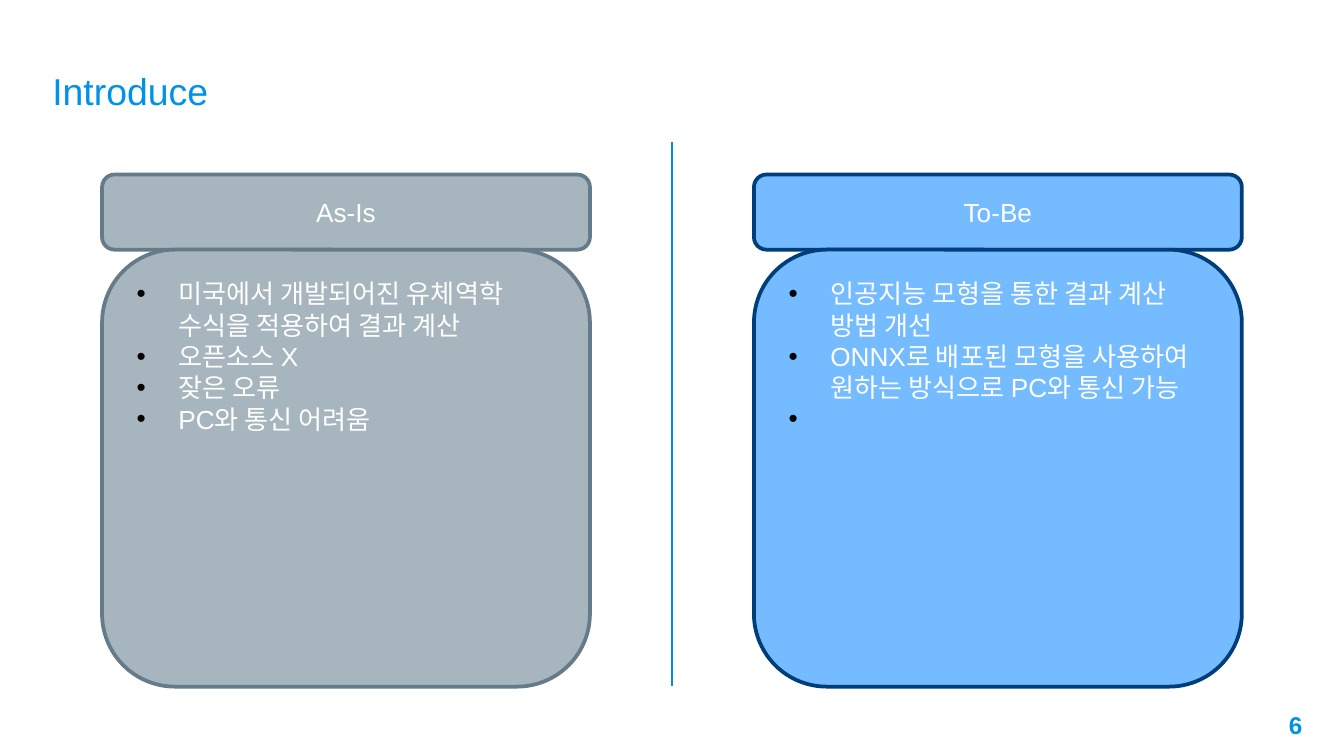
from dataclasses import dataclass

from lxml import etree
from pptx import Presentation
from pptx import util as u
from pptx.dml.color import RGBColor
from pptx.enum import shapes, text
from pptx.oxml.ns import qn


@dataclass(frozen=True)
class Theme:
    font: str = "Arial"
    accent: str = "0091EA"
    divider: str = "008EE5"
    white: str = "FFFFFF"
    bullet: str = "000000"
    before: tuple = ("A7B5BE", "657B89")  # fill, outline
    after: tuple = ("74BBFF", "003E7A")
    title_size: int = 20
    body_size: int = 14
    number_size: int = 13


class SlideBuilder:
    def __init__(self, slide, theme):
        self.s, self.theme = slide, theme

    def fill_text(self, tf, lines, size, color, align, anchor, bold=False):
        tf.word_wrap = True
        tf.vertical_anchor = anchor
        for i, line in enumerate(lines):
            p = tf.paragraphs[0] if i == 0 else tf.add_paragraph()
            p.text = line
            p.alignment = align
            p.font.name = self.theme.font
            p.font.size = u.Pt(size)
            p.font.bold = bold
            p.font.color.rgb = RGBColor.from_string(color)

    def label(self, box, line, size, align, anchor, bold=False):
        tf = self.s.shapes.add_textbox(*map(u.Cm, box)).text_frame
        tf.margin_left = tf.margin_right = u.Cm(0.25)
        tf.margin_top = tf.margin_bottom = u.Cm(0.25)
        self.fill_text(tf, [line], size, self.theme.accent, align, anchor, bold)

    def divider(self, x, top, bottom):
        sp = self.s.shapes.add_connector(
            shapes.MSO_CONNECTOR.STRAIGHT, u.Cm(x), u.Cm(top), u.Cm(x), u.Cm(bottom))
        sp.line.color.rgb = RGBColor.from_string(self.theme.divider)
        sp.line.width = u.Pt(0.75)
        etree.SubElement(sp._element.spPr, qn("a:effectLst"))

    def panel(self, box, colors, lines, align, anchor):
        sp = self.s.shapes.add_shape(
            shapes.MSO_SHAPE.ROUNDED_RECTANGLE, *map(u.Cm, box))
        fill, outline = map(RGBColor.from_string, colors)
        sp.shadow.inherit = False
        sp.fill.solid()
        sp.fill.fore_color.rgb = fill
        sp.line.color.rgb = outline
        sp.line.width = u.Pt(2)
        self.fill_text(sp.text_frame, lines, self.theme.body_size,
                       self.theme.white, align, anchor)
        return sp

    def bullet_panel(self, box, colors, lines):
        sp = self.panel(box, colors, lines, text.PP_ALIGN.LEFT, text.MSO_ANCHOR.TOP)
        for p in sp.text_frame.paragraphs:
            pPr = p._p.get_or_add_pPr()
            pPr.set("marL", str(u.Cm(0.79)))
            pPr.set("indent", str(-u.Cm(0.79)))
            color = etree.Element(qn("a:buClr"))
            etree.SubElement(color, qn("a:srgbClr"), val=self.theme.bullet)
            font = etree.Element(qn("a:buFont"), typeface=self.theme.font)
            char = etree.Element(qn("a:buChar"), char="•")
            for i, node in enumerate((color, font, char)):
                pPr.insert(i, node)


def main():
    theme = Theme()
    prs = Presentation()
    prs.slide_width, prs.slide_height = u.Cm(25.4), u.Cm(14.29)
    b = SlideBuilder(prs.slides.add_slide(prs.slide_layouts[6]), theme)

    # Title and page number
    b.label((0.74, 0.74, 21.03, 1.96), "Introduce", theme.title_size,
            text.PP_ALIGN.LEFT, text.MSO_ANCHOR.MIDDLE)
    b.label((23.34, 13.18, 1.52, 1.09), "6", theme.number_size,
            text.PP_ALIGN.RIGHT, text.MSO_ANCHOR.TOP, bold=True)

    # Centre divider
    b.divider(12.7, 2.68, 12.96)

    # Comparison columns, mirrored about the divider
    left, width = 1.93, 9.22
    top, head, body = 3.3, 1.42, 8.26
    columns = [
        (left, theme.before, "As-Is", [
            "미국에서 개발되어진 유체역학 수식을 적용하여 결과 계산",
            "오픈소스 X",
            "잦은 오류",
            "PC와 통신 어려움",
        ]),
        (25.4 - left - width, theme.after, "To-Be", [
            "인공지능 모형을 통한 결과 계산 방법 개선",
            "ONNX로 배포된 모형을 사용하여 원하는 방식으로 PC와 통신 가능",
            " ",  # open point: its bullet shows
        ]),
    ]
    for x, colors, heading, points in columns:
        b.panel((x, top, width, head), colors, [heading],
                text.PP_ALIGN.CENTER, text.MSO_ANCHOR.MIDDLE)
        b.bullet_panel((x, top + head, width, body), colors, points)

    prs.save("out.pptx")


if __name__ == "__main__":
    main()
